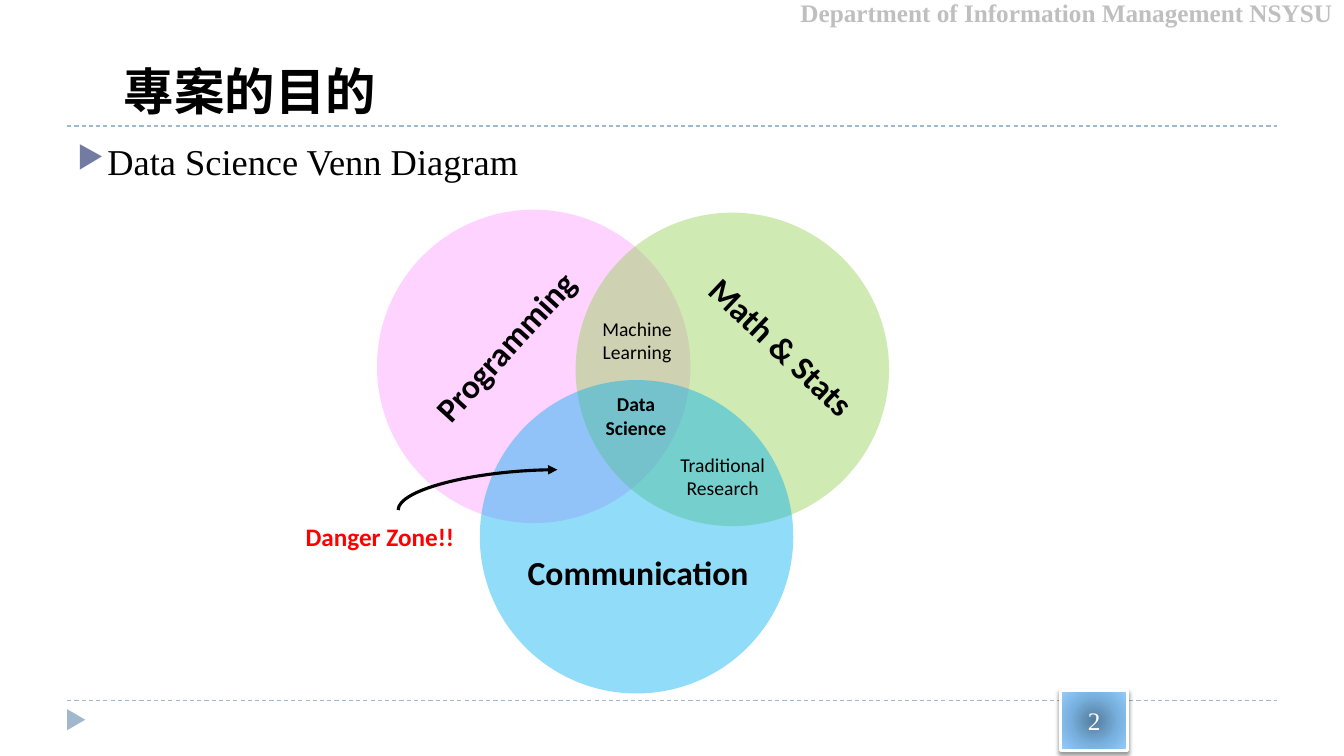
from lxml import etree
from pptx import Presentation
from pptx.dml.color import RGBColor
from pptx.enum.dml import MSO_LINE
from pptx.enum.shapes import MSO_CONNECTOR, MSO_SHAPE
from pptx.enum.text import MSO_ANCHOR, MSO_AUTO_SIZE, PP_ALIGN
from pptx.oxml.ns import qn
from pptx.util import Inches, Pt

BLACK = RGBColor(0x00, 0x00, 0x00)
WHITE = RGBColor(0xFF, 0xFF, 0xFF)
GREY = RGBColor(0xBF, 0xBF, 0xBF)
RED = RGBColor(0xFF, 0x00, 0x00)
STEEL = RGBColor(0x9F, 0xB8, 0xCD)
INDIGO = RGBColor(0x72, 0x7C, 0xA3)
PINK = RGBColor(0xFF, 0x99, 0xFF)
GREEN = RGBColor(0x92, 0xD0, 0x50)
BLUE = RGBColor(0x00, 0xB0, 0xF0)
GLOW = ((0, RGBColor(0x54, 0x7C, 0x9C)), (53, RGBColor(0x78, 0xB0, 0xDE)),
        (100, RGBColor(0x96, 0xD0, 0xFF)))
SERIF, SANS, SLAB = "Times New Roman", "Calibri", "Roboto Slab"
LEFT, MID, RIGHT = PP_ALIGN.LEFT, PP_ALIGN.CENTER, PP_ALIGN.RIGHT
TOP, CENTRE, BASE = MSO_ANCHOR.TOP, MSO_ANCHOR.MIDDLE, MSO_ANCHOR.BOTTOM
FIXED = MSO_AUTO_SIZE.NONE
OVAL, RECT, WEDGE = MSO_SHAPE.OVAL, MSO_SHAPE.RECTANGLE, MSO_SHAPE.ISOSCELES_TRIANGLE
STRAIGHT, CURVE, DASH = MSO_CONNECTOR.STRAIGHT, MSO_CONNECTOR.CURVE, MSO_LINE.DASH
COLS, ROWS = 40, 22.5
WIDE, HIGH = Inches(13.33), Inches(7.5)
DISC = 9.33


def grid(*cells):
    """Turn alternating columns and rows into lengths."""
    units = (WIDE / COLS, HIGH / ROWS)
    return [round(cell * units[i % 2]) for i, cell in enumerate(cells)]


def node(parent, tag, **attrs):
    """Append a DrawingML element."""
    child = etree.SubElement(parent, qn("a:" + tag))
    for key, value in attrs.items():
        child.set(key, str(value))
    return child


def write(frame, words, size, face, color=BLACK, bold=False, align=MID, anchor=TOP):
    """Fill a text frame with one formatted run."""
    frame.auto_size = FIXED
    frame.vertical_anchor = anchor
    para = frame.paragraphs[0]
    para.alignment = align
    run = para.add_run()
    run.text = words
    font = run.font
    font.size, font.name, font.bold = Pt(size), face, bold
    font.color.rgb = color
    return para


def label(slide, cells, words, size, face=SANS, turn=0, wrap=True, **style):
    """Add a text box and return its paragraph."""
    box = slide.shapes.add_textbox(*grid(*cells))
    box.rotation = turn
    box.text_frame.word_wrap = wrap
    return write(box.text_frame, words, size, face, **style)


def shape(slide, kind, cells, color, alpha=100):
    """Add a plain shape without outline or shadow."""
    item = slide.shapes.add_shape(kind, *grid(*cells))
    item.shadow.inherit = False
    item.fill.solid()
    item.fill.fore_color.rgb = color
    item.line.fill.background()
    if alpha < 100:
        tint = item._element.spPr.find(".//" + qn("a:srgbClr"))
        node(tint, "alpha", val=alpha * 1000)
    return item


def link(slide, kind, cells, color, width):
    """Add a connector without shadow."""
    line = slide.shapes.add_connector(kind, *grid(*cells))
    line.line.color.rgb = color
    line.line.width = Pt(width)
    node(line._element.spPr, "effectLst")
    return line


def arrow(slide, cells):
    """Add a quarter-turn curve with an arrowhead."""
    line = link(slide, CURVE, cells, BLACK, 2.25)
    props = line._element.spPr
    props.find(qn("a:xfrm")).set("rot", str(270 * 60000))
    props.find(qn("a:prstGeom")).set("prst", "curvedConnector2")
    node(props.find(qn("a:ln")), "tailEnd", type="triangle")


def badge(slide, cells, words):
    """Add the glowing page number tile."""
    tile = shape(slide, RECT, cells, WHITE)
    tile.line.color.rgb = WHITE
    tile.line.width = Pt(2)
    tile.fill.gradient()
    props = tile._element.spPr
    grad = props.find(qn("a:gradFill"))
    grad.clear()
    stops = node(grad, "gsLst")
    for place, color in GLOW:
        node(node(stops, "gs", pos=place * 1000), "srgbClr", val=color)
    focus = node(grad, "path", path="circle")
    node(focus, "fillToRect", l=50000, t=50000, r=50000, b=50000)
    shade = node(props.find(qn("a:effectLst")), "outerShdw", blurRad=Pt(3),
                 dist=Pt(2), dir=90 * 60000, rotWithShape=0)
    node(node(shade, "srgbClr", val=BLACK), "alpha", val=40000)
    write(tile.text_frame, words, 18, SERIF, WHITE, anchor=CENTRE)


def bullet(para):
    """Give a paragraph a coloured triangle bullet."""
    props = para._p.get_or_add_pPr()
    props.set("marL", str(Inches(0.3)))
    props.set("indent", str(-Inches(0.3)))
    node(node(props, "buClr"), "srgbClr", val=INDIGO)
    node(props, "buSzPct", val=84000)
    node(props, "buChar", char="▶")


def title(slide, cells, words):
    """Place and fill the title placeholder."""
    head = slide.shapes.title
    head.left, head.top, head.width, head.height = grid(*cells)
    para = write(head.text_frame, words, 36, SLAB, bold=True, align=LEFT, anchor=BASE)
    node(para.runs[0].font._element, "ea", typeface=SLAB)


def frame(slide):
    """Draw the rules, header, corner mark and page number."""
    for row in (20.85, 3.75):
        link(slide, STRAIGHT, (2, row, 38, row), STEEL, 0.75).line.dash_style = DASH
    shape(slide, WEDGE, (1.95, 21.15, 0.63, 0.54), STEEL).rotation = 90
    label(slide, (22.47, -0.24, 17.67, 1.2), "Department of Information Management NSYSU ",
          18, SERIF, color=GREY, bold=True, align=RIGHT)
    badge(slide, (31.56, 20.55, 2.01, 1.8), "2")


def venn(slide):
    """Draw the three discs with their names, overlaps and warning."""
    discs = (
        (11.22, 6.24, PINK, "Programming", (11.43, 9.54, 7.17, 1.5), 312.3),
        (17.13, 6.33, GREEN, "Math & Stats", (19.89, 9.57, 6.75, 1.5), 43.6),
        (14.28, 11.31, BLUE, "Communication", (14.85, 16.29, 8.28, 1.5), 0),
    )
    for col, row, color, words, cells, turn in discs:
        shape(slide, OVAL, (col, row, DISC, DISC), color, 43)
        label(slide, cells, words, 24, turn=turn, wrap=False, bold=True)
    overlaps = (
        ((17.55, 9.27, 2.82, 1.71), "Machine Learning", False),
        ((19.74, 13.32, 3.54, 1.71), "Traditional Research", False),
        ((17.16, 11.52, 3.54, 1.71), "Data Science", True),
    )
    for cells, words, bold in overlaps:
        label(slide, cells, words, 14, bold=bold)
    label(slide, (8.49, 15.36, 5.64, 1.2), "Danger Zone!!", 18, color=RED, bold=True)
    arrow(slide, (13.62, 12.21, 14.82, 16.95))


def main():
    """Build and save the slide."""
    deck = Presentation()
    deck.slide_width, deck.slide_height = WIDE, HIGH
    slide = deck.slides.add_slide(deck.slide_layouts[5])
    frame(slide)
    bullet(label(slide, (2, 4, 36, 16.2), "Data Science Venn Diagram", 26, SERIF, align=LEFT))
    title(slide, (3.39, 0.51, 34.62, 3.24), "專案的目的")
    venn(slide)
    deck.save("out.pptx")


if __name__ == "__main__":
    main()
